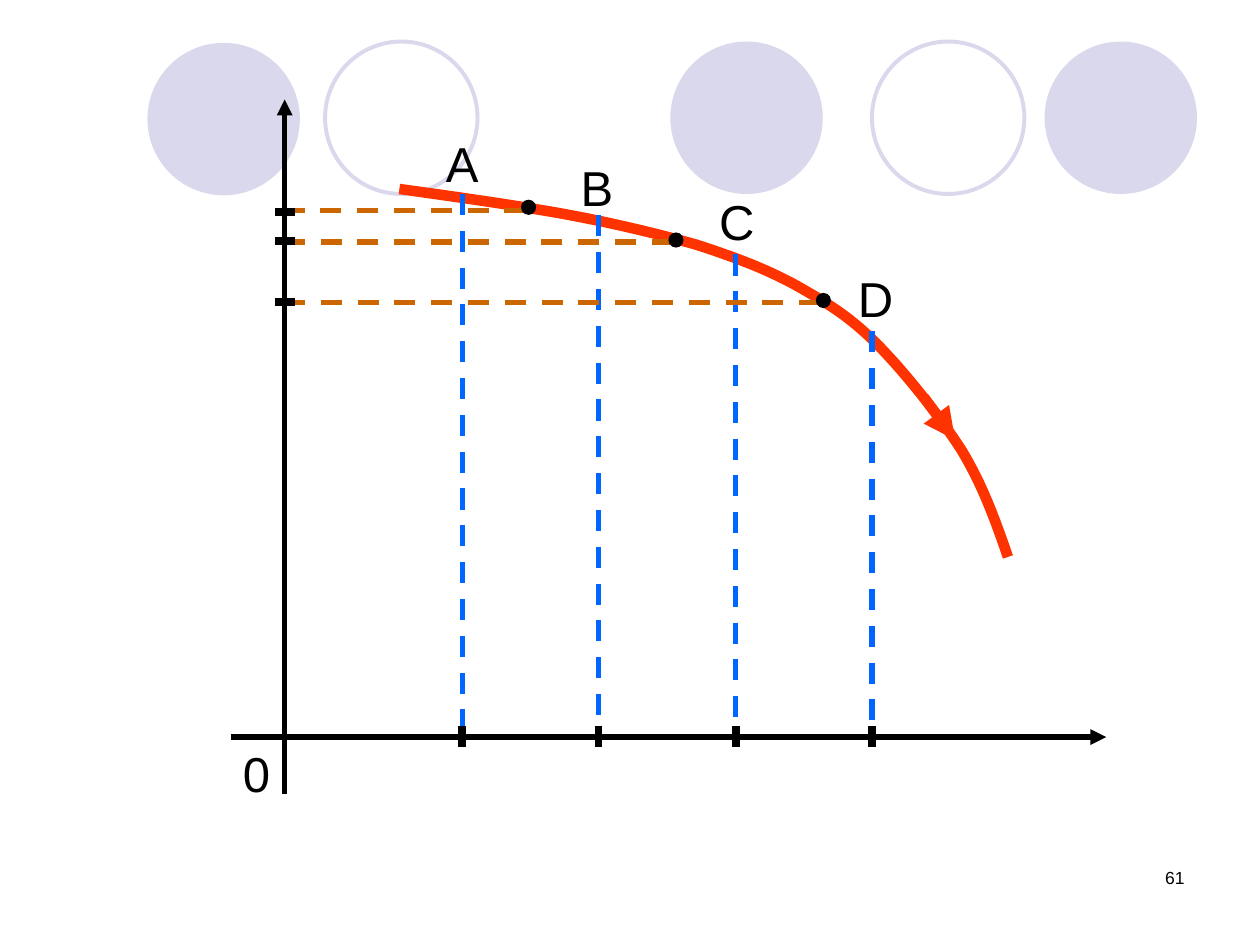
from dataclasses import dataclass

from lxml import etree
from pptx import Presentation
from pptx.dml.color import RGBColor
from pptx.enum.dml import MSO_LINE
from pptx.enum.shapes import MSO_CONNECTOR, MSO_SHAPE
from pptx.enum.text import MSO_AUTO_SIZE, PP_ALIGN
from pptx.oxml.ns import qn
from pptx.util import Pt

STRAIGHT = MSO_CONNECTOR.STRAIGHT
OVAL = MSO_SHAPE.OVAL
DASH = MSO_LINE.DASH
LEFT, RIGHT = PP_ALIGN.LEFT, PP_ALIGN.RIGHT
FIT_SHAPE = MSO_AUTO_SIZE.SHAPE_TO_FIT_TEXT
EMU_PER_PX = 9144  # 100 px to the inch


@dataclass(frozen=True)
class Theme:
    ink: RGBColor = RGBColor(0x00, 0x00, 0x00)
    lavender: RGBColor = RGBColor(0xD9, 0xD8, 0xEC)
    curve: RGBColor = RGBColor(0xFF, 0x33, 0x00)
    sample: RGBColor = RGBColor(0x00, 0x66, 0xFF)
    level: RGBColor = RGBColor(0xCC, 0x66, 0x00)
    font: str = "Arial"
    label_size: int = 28
    number_size: int = 10


THEME = Theme()


def px(value):
    return round(value * EMU_PER_PX)


def add_line(shapes, start, end, color, width, dash=None, arrow=False):
    line = shapes.add_connector(STRAIGHT, *map(px, (*start, *end)))
    line.line.color.rgb = color
    line.line.width = Pt(width)
    if dash:
        line.line.dash_style = dash
    properties = line._element.spPr
    if arrow:
        etree.SubElement(properties.find(qn("a:ln")), qn("a:tailEnd"), type="triangle")
    etree.SubElement(properties, qn("a:effectLst"))


def add_circle(shapes, left, top, size, fill, outline, width):
    circle = shapes.add_shape(OVAL, px(left), px(top), px(size), px(size))
    circle.shadow.inherit = False
    if fill is None:
        circle.fill.background()
    else:
        circle.fill.solid()
        circle.fill.fore_color.rgb = fill
    if outline is None:
        circle.line.fill.background()
    else:
        circle.line.color.rgb = outline
        circle.line.width = Pt(width)


def add_label(shapes, box, text, size, align=LEFT, wrap=False):
    frame = shapes.add_textbox(*map(px, box)).text_frame
    frame.word_wrap = wrap
    if not wrap:
        frame.auto_size = FIT_SHAPE
    label = frame.paragraphs[0]
    label.text = text
    label.alignment = align
    label.font.name = THEME.font
    label.font.size = Pt(size)
    label.font.color.rgb = THEME.ink


def bezier_points(start, segments, steps=16):
    """Points along a chain of cubic curves, after its start."""
    points = []
    for first, second, end in segments:
        for step in range(1, steps + 1):
            t = step / steps
            weights = ((1 - t) ** 3, 3 * t * (1 - t) ** 2, 3 * t * t * (1 - t), t ** 3)
            corners = (start, first, second, end)
            points.append(tuple(sum(w * c[axis] for w, c in zip(weights, corners))
                                for axis in (0, 1)))
        start = end
    return points


def draw_circle_band(slide, left, top):
    """Row of filled and outlined circles along the top."""
    shapes = slide.shapes.add_group_shape().shapes
    for x, y, filled in ((415, 0, True), (712, 0, True), (0, 1, True),
                         (575, 0, False), (141, 0, False)):
        add_circle(shapes, left + x, top + y, 121, THEME.lavender if filled else None,
                   None if filled else THEME.lavender, 2.25)


def draw_curve_chart(slide, left, top, width, height):
    """Axes, falling curve, sampled points and their levels."""
    shapes = slide.shapes.add_group_shape().shapes
    axis_x, axis_y = 43, 506

    def at(x, y):
        return left + x, top + y

    # Axes and origin
    add_line(shapes, at(0, axis_y), at(width, axis_y), THEME.ink, 3, arrow=True)
    add_line(shapes, at(axis_x, height), at(axis_x, 0), THEME.ink, 3, arrow=True)
    add_label(shapes, (*at(0, axis_y), 42, 57), "0", THEME.label_size)

    # Curve
    start = (134, 71)
    segments = (
        ((177, 77), (220, 83), (260, 90)),
        ((299, 97), (337, 106), (369, 115)),
        ((400, 125), (424, 134), (448, 147)),
        ((471, 160), (490, 171), (512, 193)),
        ((534, 215), (562, 250), (580, 278)),
        ((597, 306), (607, 334), (617, 363)),
    )
    outline = shapes.build_freeform(*map(px, at(*start)))
    outline.add_line_segments([tuple(map(px, at(*point)))
                               for point in bezier_points(start, segments)], close=False)
    curve = outline.convert_to_shape()
    curve.shadow.inherit = False
    curve.fill.background()
    curve.line.color.rgb = THEME.curve
    curve.line.width = Pt(6)

    # Evenly spaced samples: name, top of its line, label left, top and width
    samples = (("A", 75, 161, 22, 46), ("B", 92, 268, 41, 46),
               ("C", 123, 378, 68, 48), ("D", 184, 488, 129, 48))
    sample_xs = [184 + round(index * 325 / 3) for index in range(len(samples))]
    for x, (_, line_top, *_) in zip(sample_xs, samples):
        add_line(shapes, at(x, line_top), at(x, axis_y - 5), THEME.sample, 3, DASH)
    for name, _, label_left, label_top, label_width in samples:
        add_label(shapes, (*at(label_left, label_top), label_width, 57), name,
                  THEME.label_size)

    # Levels between samples: y of dashed line, axis tick and dot top
    levels = ((88, 89, 80), (113, 112, 106), (161, 161, 154))
    dot_lefts = [231 + 117 * index for index in range(len(levels))]
    for dot_left, (line_y, _, _) in zip(dot_lefts, levels):
        add_line(shapes, at(dot_left + 3, line_y), at(axis_x, line_y),
                 THEME.level, 3, DASH)
    for dot_left, (_, _, dot_top) in zip(dot_lefts, levels):
        add_circle(shapes, *at(dot_left, dot_top), 11, THEME.ink, THEME.ink, 0.75)

    # Axis ticks
    for x in sample_xs:
        add_line(shapes, at(x, axis_y - 9), at(x, axis_y + 8), THEME.ink, 4.5)
    for _, tick_y, _ in levels:
        add_line(shapes, at(axis_x + 8, tick_y), at(axis_x - 8, tick_y), THEME.ink, 4.5)

    # Direction of movement
    add_line(shapes, at(550, 236), at(575, 270), THEME.curve, 6, arrow=True)


def draw_page_number(slide, box):
    add_label(slide.shapes, box, "61", THEME.number_size, RIGHT, wrap=True)


def main():
    deck = Presentation()
    deck.slide_width, deck.slide_height = px(1000), px(750)
    slide = deck.slides.add_slide(deck.slide_layouts[6])
    draw_circle_band(slide, 117, 33)
    draw_page_number(slide, (717, 683, 233, 50))
    draw_curve_chart(slide, 183, 79, 695, 551)
    deck.save("out.pptx")


if __name__ == "__main__":
    main()
